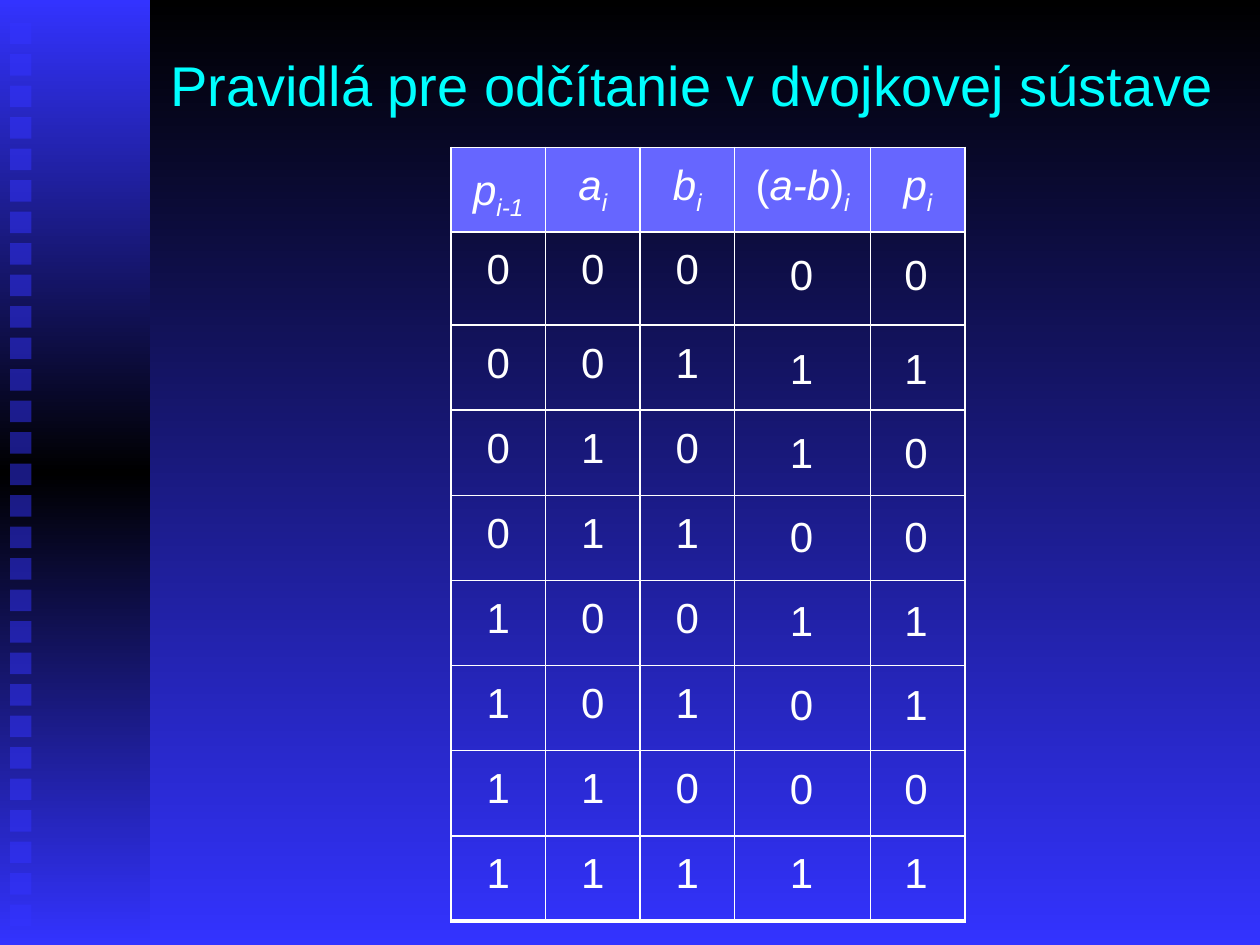
from copy import deepcopy
from dataclasses import dataclass
from itertools import product

from lxml import etree
from pptx import Presentation
from pptx.dml.color import RGBColor
from pptx.enum import shapes, text
from pptx.oxml.ns import qn
from pptx.util import Inches, Pt


@dataclass(frozen=True)
class Theme:
    black: RGBColor = RGBColor(0, 0, 0)
    blue: RGBColor = RGBColor(0x33, 0x33, 0xFF)
    head: RGBColor = RGBColor(0x66, 0x66, 0xFF)
    cyan: RGBColor = RGBColor(0, 0xFF, 0xFF)
    white: RGBColor = RGBColor(0xFF, 0xFF, 0xFF)
    font: str = "Arial"
    title: int = 32
    body: int = 24


THEME = Theme()
WIDTHS = [0.75, 0.75, 0.75, 1.08, 0.75]
HEIGHTS = [0.67, 0.74] + [(6.14 - 0.67 - 0.74) / 7] * 7
# Each header is a list of runs: text, italic, subscript
HEADS = [
    [("p", True, False), ("i-1", True, True)],
    [("a", True, False), ("i", True, True)],
    [("b", True, False), ("i", True, True)],
    [("(", False, False), ("a-b", True, False), (")", False, False),
     ("i", True, True)],
    [("p", True, False), ("i", True, True)],
]
# Difference and borrow for each row of inputs
RESULTS = ["00", "11", "10", "00", "11", "01", "00", "11"]


def style(run, size=THEME.body, color=THEME.white):
    run.font.name = THEME.font
    run.font.size = Pt(size)
    run.font.color.rgb = color


def shade(fill, colors):
    """Fill from top to bottom with evenly spaced colours."""
    fill.gradient()
    fill.gradient_angle = 270
    for stop, color in zip(fill.gradient_stops, colors):
        stop.color.rgb = color


def add_rect(slide, left, top, width, height):
    rect = slide.shapes.add_shape(
        shapes.MSO_SHAPE.RECTANGLE,
        Inches(left), Inches(top), Inches(width), Inches(height))
    rect.shadow.inherit = False
    rect.line.fill.background()
    return rect


def add_band(slide):
    band = add_rect(slide, 0, 0, 1.19, 7.5)
    shade(band.fill, [THEME.blue, THEME.black])
    stops = band._element.spPr.find(".//" + qn("a:gsLst"))
    stops[1].set("pos", "50000")
    last = deepcopy(stops[0])
    last.set("pos", "100000")
    stops.append(last)
    for row in range(29):
        square = add_rect(slide, 0.08, 0.18 + 0.25 * row, 0.17, 0.17)
        square.fill.solid()
        square.fill.fore_color.rgb = THEME.blue
        color = square._element.spPr.find(".//" + qn("a:srgbClr"))
        etree.SubElement(color, qn("a:alpha"), val="50000")


def add_title(slide, words):
    title = slide.shapes.title
    title.left, title.top = Inches(1.25), Inches(0.25)
    title.width, title.height = Inches(8.5), Inches(0.83)
    frame = title.text_frame
    frame.text = words
    frame.auto_size = text.MSO_AUTO_SIZE.NONE
    frame.vertical_anchor = text.MSO_ANCHOR.MIDDLE
    para = frame.paragraphs[0]
    para.alignment = text.PP_ALIGN.LEFT
    style(para.runs[0], THEME.title, THEME.cyan)


def set_lines(cell, bottom):
    props = cell._tc.get_or_add_tcPr()
    for side, width in (("L", 1), ("R", 1), ("T", 1), ("B", bottom)):
        line = etree.SubElement(props, qn("a:ln" + side), w=str(Pt(width)))
        fill = etree.SubElement(line, qn("a:solidFill"))
        etree.SubElement(fill, qn("a:srgbClr"), val=str(THEME.white))


def set_cell(cell, runs):
    cell.margin_left = cell.margin_right = Inches(0.08)
    cell.margin_top, cell.margin_bottom = Inches(0.12), Inches(0.04)
    para = cell.text_frame.paragraphs[0]
    para.alignment = text.PP_ALIGN.CENTER
    for words, italic, sub in runs:
        run = para.add_run()
        run.text = words
        style(run)
        run.font.italic = italic
        if sub:
            run.font._element.set("baseline", "-25000")


def add_table(slide):
    table = slide.shapes.add_table(
        len(HEIGHTS), len(WIDTHS), Inches(3.58), Inches(1.17),
        Inches(sum(WIDTHS)), Inches(sum(HEIGHTS))).table
    table.first_row = table.horz_banding = False
    for col, width in zip(table.columns, WIDTHS):
        col.width = Inches(width)
    for row, height in zip(table.rows, HEIGHTS):
        row.height = Inches(height)
    last = len(HEIGHTS) - 1
    for r, row in enumerate(table.rows):
        for cell in row.cells:
            set_lines(cell, 2.25 if r == last else 1)
            if r:
                cell.fill.background()
            else:
                cell.fill.solid()
                cell.fill.fore_color.rgb = THEME.head
    for c, runs in enumerate(HEADS):
        set_cell(table.cell(0, c), runs)
    table.cell(0, 0).vertical_anchor = text.MSO_ANCHOR.MIDDLE
    for r, bits in enumerate(product("01", repeat=3), 1):
        for c, bit in enumerate(bits):
            set_cell(table.cell(r, c), [(bit, False, False)])


def add_digit(slide, digit, left, top):
    box = slide.shapes.add_textbox(
        Inches(left), Inches(top), Inches(0.5), Inches(0.5))
    frame = box.text_frame
    frame.word_wrap = True
    frame.auto_size = text.MSO_AUTO_SIZE.SHAPE_TO_FIT_TEXT
    frame.text = digit
    style(frame.paragraphs[0].runs[0])


def add_results(slide):
    for row, pair in enumerate(RESULTS):
        top = 2 + row * 2 / 3 if row else 1.92
        for digit, left in zip(pair, (6.17, 7.08)):
            add_digit(slide, digit, left, top)


def main():
    deck = Presentation()
    deck.slide_width, deck.slide_height = Inches(10), Inches(7.5)
    slide = deck.slides.add_slide(deck.slide_layouts[5])
    shade(slide.background.fill, [THEME.black, THEME.blue])
    add_band(slide)
    add_title(slide, "Pravidlá pre odčítanie v dvojkovej sústave")
    add_table(slide)
    add_results(slide)
    deck.save("out.pptx")


if __name__ == "__main__":
    main()
